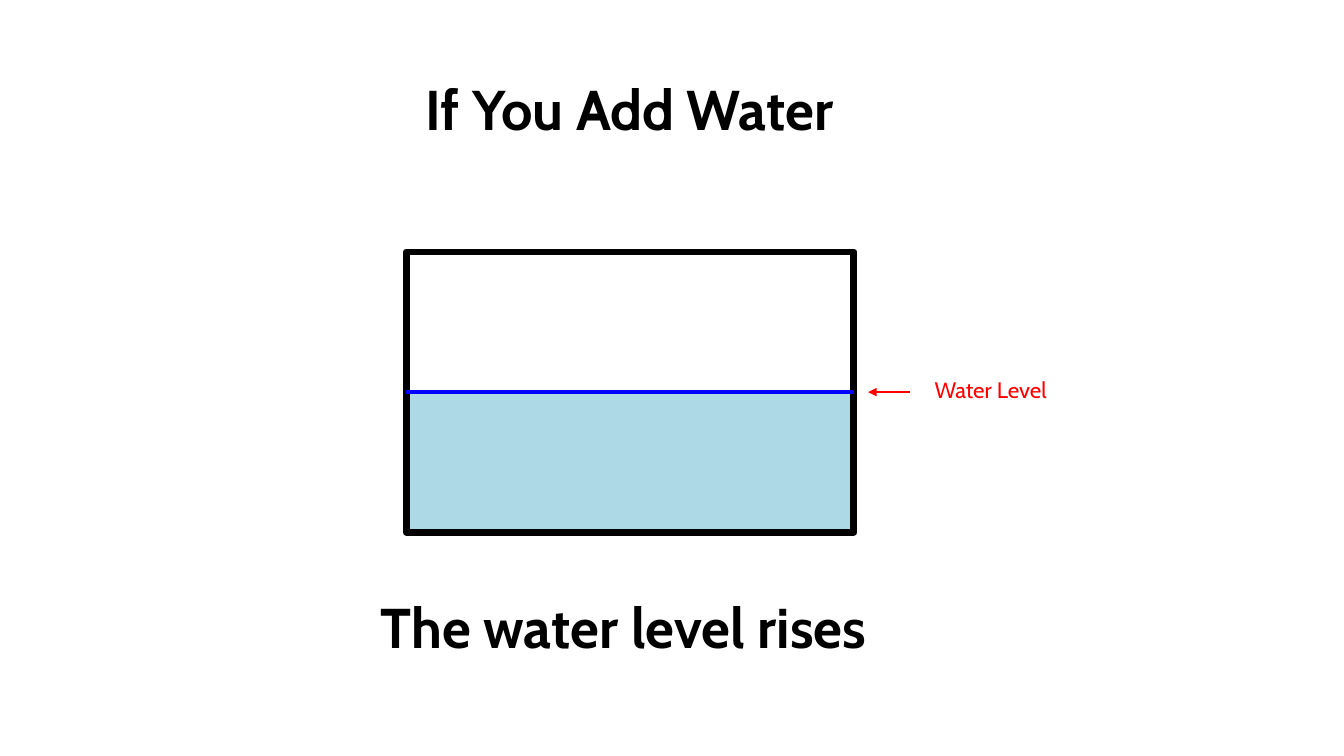
from pptx import Presentation
from pptx.dml.color import RGBColor
from pptx.enum.shapes import MSO_CONNECTOR, MSO_SHAPE
from pptx.enum.text import MSO_ANCHOR, MSO_AUTO_SIZE, PP_ALIGN
from pptx.oxml.ns import qn
from pptx.util import Inches, Pt
from lxml import etree

TITLE = "If You Add Water"
RESULT = "The water level rises "
LABEL = "Water Level"
FONT = "Cabin"
COLORS = {"ink": "000000", "water": "ADD8E6", "level": "0000FF", "mark": "FF0000"}

LEFT, TOP, WIDTH, HEIGHT = 4.03, 2.5, 4.44, 2.78
HALF = HEIGHT / 2
LEVEL = TOP + HALF
RIGHT = LEFT + WIDTH
HEAD = (1.94, 0.69, 8.61, 0.77)
FOOT = (1.94, 5.83, 8.61, 0.77)
NOTE = (RIGHT + 0.7, LEVEL - 0.21, 1.39, 0.37)


def color(name):
    return RGBColor.from_string(COLORS[name])


def write(text, box, shape=None, size=40, tint="ink", bold=True, align=PP_ALIGN.CENTER):
    place = [Inches(n) for n in box]
    shape = shape or slide.shapes.add_textbox(*place)
    shape.left, shape.top, shape.width, shape.height = place
    frame = shape.text_frame
    frame.word_wrap = True
    frame.auto_size = MSO_AUTO_SIZE.NONE
    frame.vertical_anchor = MSO_ANCHOR.TOP
    par = frame.paragraphs[0]
    par.alignment = align
    par.line_spacing = 1.0
    par.space_before = Pt(0)
    run = par.add_run()
    run.text = text
    run.font.name = FONT
    run.font.size = Pt(size)
    run.font.bold = bold
    run.font.color.rgb = color(tint)


def block(top, height, fill=None, edge=None):
    shape = slide.shapes.add_shape(
        MSO_SHAPE.RECTANGLE, Inches(LEFT), Inches(top), Inches(WIDTH), Inches(height))
    shape.shadow.inherit = False
    if fill:
        shape.fill.solid()
        shape.fill.fore_color.rgb = color(fill)
    else:
        shape.fill.background()
    if edge:
        shape.line.color.rgb = color(edge)
        shape.line.width = Pt(5)
    else:
        shape.line.fill.background()


def rule(start, end, tint, width, arrow=False):
    line = slide.shapes.add_connector(
        MSO_CONNECTOR.STRAIGHT, Inches(start), Inches(LEVEL), Inches(end), Inches(LEVEL))
    line.line.color.rgb = color(tint)
    line.line.width = Pt(width)
    props = line._element.spPr
    etree.SubElement(props, qn("a:effectLst"))
    if arrow:
        etree.SubElement(props.find(qn("a:ln")), qn("a:tailEnd"), type="triangle")


deck = Presentation()
deck.slide_width, deck.slide_height = Inches(13.33), Inches(7.5)
slide = deck.slides.add_slide(deck.slide_layouts[5])

write(TITLE, HEAD, shape=slide.shapes.title)
block(LEVEL, HALF, fill="water")
block(TOP, HEIGHT, edge="ink")
rule(LEFT, RIGHT, "level", 3)
rule(RIGHT + 0.56, RIGHT + 0.14, "mark", 2, arrow=True)
write(LABEL, NOTE, size=16, tint="mark", bold=False, align=PP_ALIGN.LEFT)
write(RESULT, FOOT)

deck.save("out.pptx")
